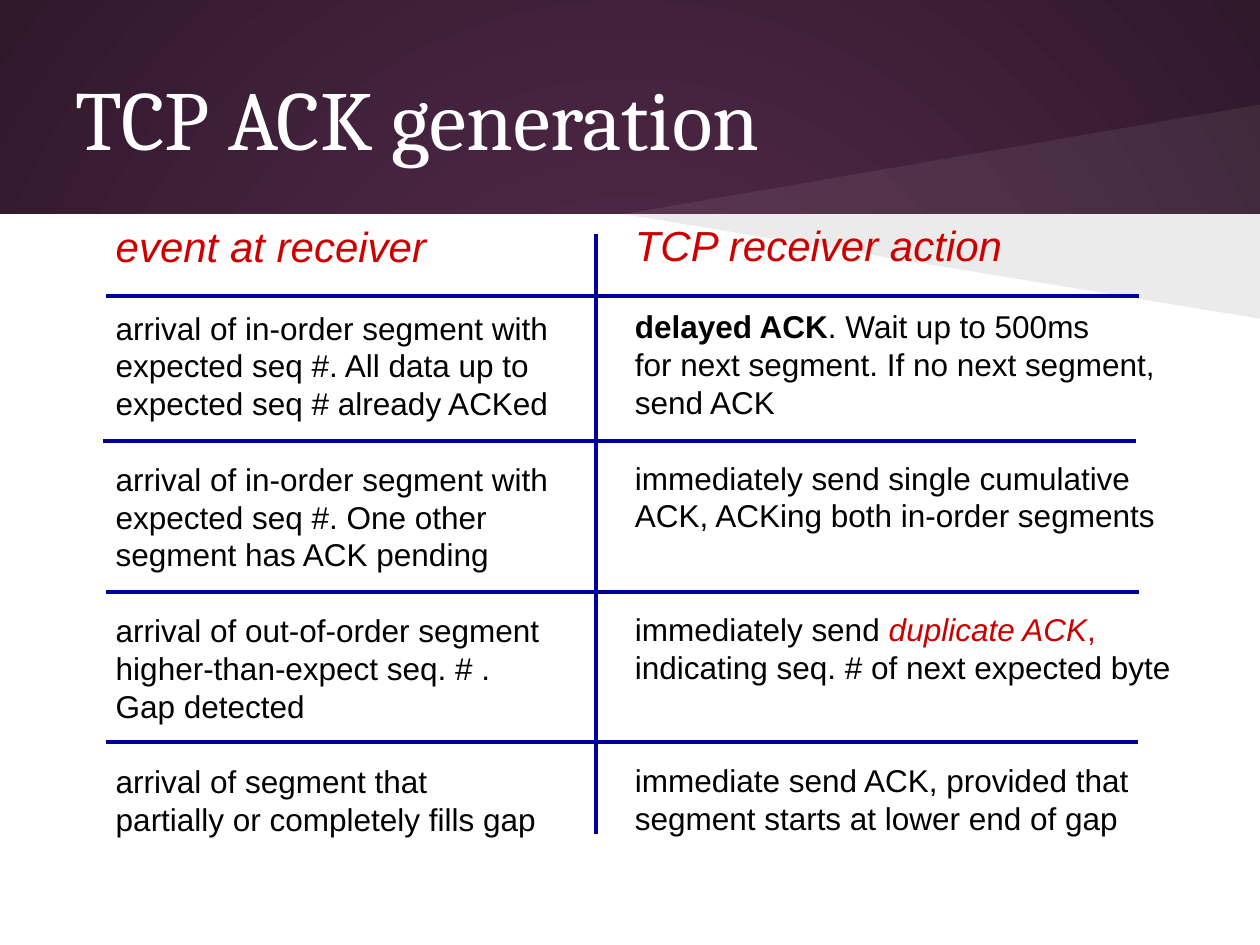
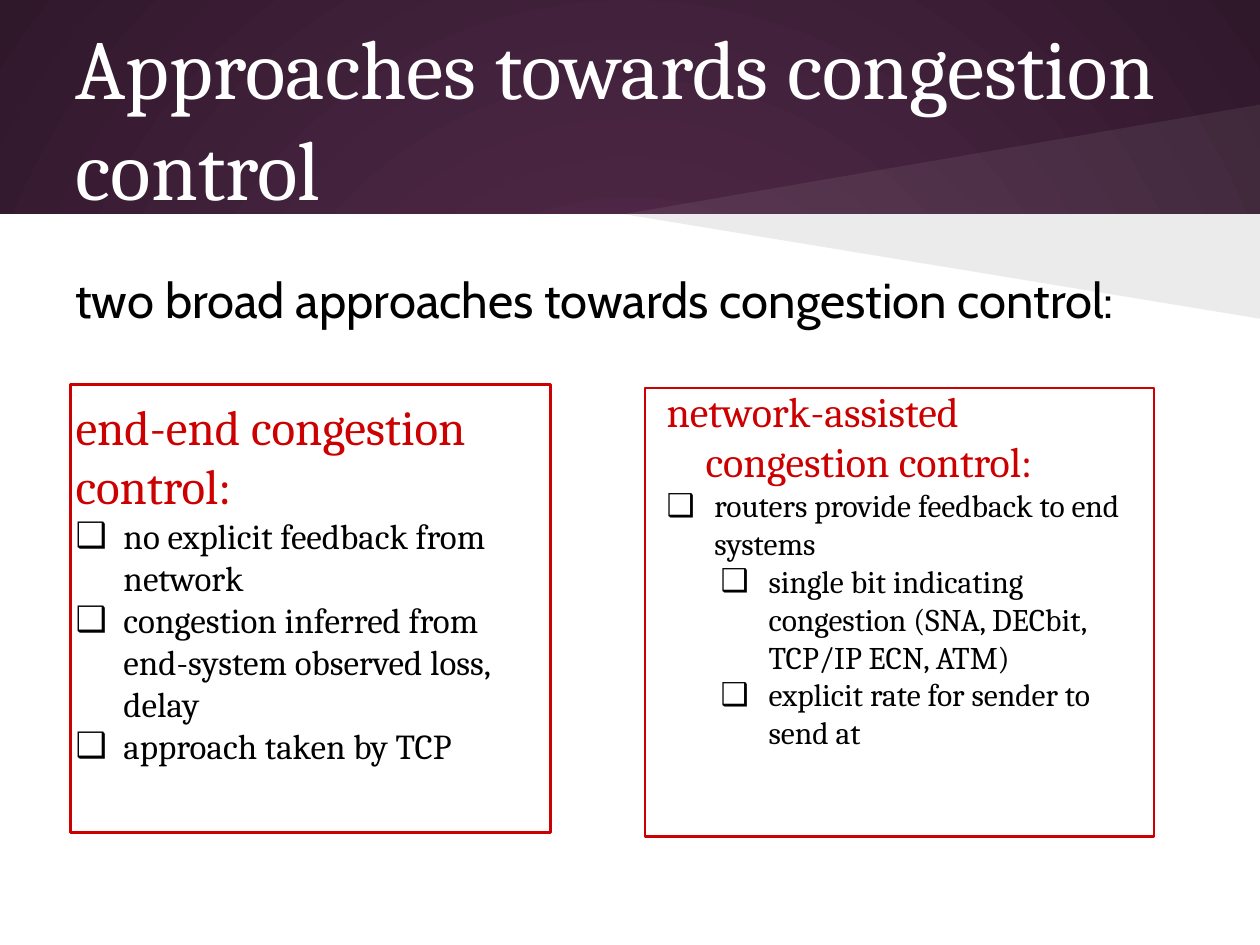
import pptx
import pptx.dml.color
import pptx.enum.dml
import pptx.enum.shapes
import pptx.enum.text
import pptx.oxml.ns
import pptx.oxml.xmlchemy
import pptx.util
from lxml import etree

EMU_PER_PX = 9144  # 100 px to the inch
SLIDE_WIDTH, SLIDE_HEIGHT = 1000, 750
BAND_BOTTOM = 170
LINE_HEIGHT = 1.2  # times the text size

WHITE, BLACK = "FFFFFF", "000000"
RED, BLUE = "CC0000", "000099"
PLUM, DARK_PLUM = "592D50", "30182B"
SERIF, SANS, LEAD_FONT = "Cambria", "Arial", "Cabin"

HEADING = {"name": SANS, "size": 24, "color": RED, "italic": True}
CELL = {"name": SANS, "size": 18, "color": BLACK}
BOLD = {**CELL, "bold": True}
RED_CELL = {**CELL, "color": RED}
RED_ITALIC = {**RED_CELL, "italic": True}

# Each row is (blank lines above, lines); each line is a list of (text, format)
EVENT_ROWS = [
    (0, [[("event at receiver", HEADING)]]),
    (1, [[("arrival of in-order segment with", CELL)],
         [("expected seq #. All data up to", CELL)],
         [("expected seq # already ACKed", CELL)]]),
    (1, [[("arrival of in-order segment with", CELL)],
         [("expected seq #. One other", CELL)],
         [("segment has ACK pending", CELL)]]),
    (1, [[("arrival of out-of-order segment", CELL)],
         [("higher-than-expect seq. # .", CELL)],
         [("Gap detected", CELL)]]),
    (1, [[("arrival of segment that", CELL)],
         [("partially or completely fills gap", CELL)]]),
]
ACTION_ROWS = [
    (0, [[("TCP receiver action", HEADING)]]),
    (1, [[("delayed ACK", BOLD), (". Wait up to 500ms", CELL)],
         [("for next segment. If no next segment,", CELL)],
         [("send ACK", CELL)]]),
    (1, [[("immediately send single cumulative", CELL)],
         [("ACK, ACKing both in-order segments", CELL)]]),
    (2, [[("immediately send ", CELL), ("duplicate ACK", RED_ITALIC), (",", RED_CELL)],
         [("indicating seq. # of next expected byte", CELL)]]),
    (2, [[("immediate send ACK, provided that", CELL)],
         [("segment starts at lower end of gap", CELL)]]),
]
RULES = [(473, 186, 473, 662), (84, 235, 904, 235), (82, 350, 902, 350),
         (84, 470, 904, 470), (84, 589, 903, 589)]

# Each list item is (text, size, colour, level, left indent, hanging, bulleted)
END_TO_END = [
    ("end-end congestion control:", 28, RED, 0, 0, 0, False),
    ("no explicit feedback from network", 20, BLACK, 1, 38, 38, True),
    ("congestion inferred from end-system observed loss, delay", 20, BLACK, 1, 38, 38, True),
    ("approach taken by TCP", 20, BLACK, 1, 38, 38, True),
]
NETWORK_ASSISTED = [
    ("network-assisted congestion control:", 24, RED, 0, 31, 31, False),
    ("routers provide feedback to end systems", 18, BLACK, 0, 38, 38, True),
    ("single bit indicating congestion (SNA, DECbit, TCP/IP ECN, ATM)",
     18, BLACK, 1, 81, 38, True),
    ("explicit rate for sender to send at", 18, BLACK, 1, 81, 38, True),
]


def px(length):
    return pptx.util.Emu(length * EMU_PER_PX)


def rgb(hex_colour):
    return pptx.dml.color.RGBColor.from_string(hex_colour)


def add_child(parent, tag, **attributes):
    return etree.SubElement(parent, pptx.oxml.ns.qn(tag), attributes)


def set_attributes(target, values):
    for name, value in values.items():
        setattr(target, name, value)


def place(shape, left, top, width, height):
    set_attributes(shape, {"left": px(left), "top": px(top),
                           "width": px(width), "height": px(height)})


def format_frame(frame, margin_x, margin_y, wrap=True,
                 anchor=pptx.enum.text.MSO_ANCHOR.TOP):
    set_attributes(frame, {
        "margin_left": px(margin_x), "margin_right": px(margin_x),
        "margin_top": px(margin_y), "margin_bottom": px(margin_y),
        "word_wrap": wrap, "vertical_anchor": anchor,
        "auto_size": pptx.enum.text.MSO_AUTO_SIZE.NONE})


def add_run(paragraph, text, text_format):
    run = paragraph.add_run()
    run.text = text
    values = dict(text_format)
    run.font.color.rgb = rgb(values.pop("color"))
    values["size"] = pptx.util.Pt(values["size"])
    set_attributes(run.font, values)


def format_paragraph(paragraph, size, space_before=0):
    set_attributes(paragraph, {
        "alignment": pptx.enum.text.PP_ALIGN.LEFT,
        "line_spacing": pptx.util.Pt(size * LINE_HEIGHT),
        "space_before": pptx.util.Pt(space_before)})


def next_paragraph(frame, is_first):
    return frame.paragraphs[0] if is_first else frame.add_paragraph()


def set_indent(paragraph, left, hanging, bulleted):
    properties = paragraph._p.get_or_add_pPr()
    properties.set("marL", str(px(left)))
    properties.set("indent", str(px(-hanging)))
    if bulleted:
        add_child(add_child(properties, "a:buClr"), "a:srgbClr", val=BLACK)
        add_child(properties, "a:buChar", char="❑")
    else:
        add_child(properties, "a:buNone")


def add_rectangle(slide, left, top, width, height, fill=None, line=None):
    shape = slide.shapes.add_shape(pptx.enum.shapes.MSO_SHAPE.RECTANGLE,
                                   px(left), px(top), px(width), px(height))
    shape.shadow.inherit = False
    if fill:
        shape.fill.solid()
        shape.fill.fore_color.rgb = rgb(fill)
    else:
        shape.fill.background()
    if line:
        shape.line.color.rgb = rgb(line)
        shape.line.width = pptx.util.Pt(1.5)
    else:
        shape.line.fill.background()
    return shape


def add_beam(slide, points, colour, opacity):
    builder = slide.shapes.build_freeform(*points[0], scale=EMU_PER_PX)
    builder.add_line_segments(points[1:])
    beam = builder.convert_to_shape()
    beam.shadow.inherit = False
    beam.line.fill.background()
    beam.fill.solid()
    beam.fill.fore_color.rgb = rgb(colour)
    solid_colour = beam.element.spPr.find(".//" + pptx.oxml.ns.qn("a:srgbClr"))
    add_child(solid_colour, "a:alpha", val=str(opacity * 1000))
    return beam


def add_rule(slide, x1, y1, x2, y2):
    rule = slide.shapes.add_connector(pptx.enum.shapes.MSO_CONNECTOR.STRAIGHT,
                                      px(x1), px(y1), px(x2), px(y2))
    rule.line.color.rgb = rgb(BLUE)
    rule.line.width = pptx.util.Pt(2.25)
    add_child(rule.element.spPr, "a:effectLst")


def style_master(master, slide):
    """Give the master its gradient, white page and beams, drawn first on a slide."""
    fill = master.background.fill
    fill.gradient()
    for stop, position, colour in zip(fill.gradient_stops, (0, 1), (PLUM, DARK_PLUM)):
        stop.position = position
        stop.color.rgb = rgb(colour)
    gradient = master.element.find(".//" + pptx.oxml.ns.qn("a:gradFill"))
    for linear in gradient.findall(pptx.oxml.ns.qn("a:lin")):
        gradient.remove(linear)
    circle = add_child(gradient, "a:path", path="circle")
    add_child(circle, "a:fillToRect", l="50000", t="50000", r="50000", b="50000")

    tip, corner = (495, BAND_BOTTOM), (SLIDE_WIDTH, BAND_BOTTOM)
    backdrop = [
        add_rectangle(slide, 0, BAND_BOTTOM, SLIDE_WIDTH, SLIDE_HEIGHT - BAND_BOTTOM, WHITE),
        add_beam(slide, [corner, tip, (SLIDE_WIDTH, 83)], WHITE, 7),
        add_beam(slide, [corner, tip, (SLIDE_WIDTH, 253)], BLACK, 8),
    ]
    for position, shape in enumerate(backdrop, start=2):
        master.shapes.element.insert(position, shape.element)


def set_title(slide, text):
    title = slide.shapes.title
    place(title, 50, 30, 900, 125)
    format_frame(title.text_frame, 10, 10, anchor=pptx.enum.text.MSO_ANCHOR.MIDDLE)
    paragraph = title.text_frame.paragraphs[0]
    format_paragraph(paragraph, 48)
    add_run(paragraph, text, {"name": SERIF, "size": 48, "color": WHITE})


def add_column(slide, left, top, width, rows):
    box = slide.shapes.add_textbox(px(left), px(top), px(width), px(547))
    format_frame(box.text_frame, 10, 5, wrap=False)
    for row_index, (blank_lines, lines) in enumerate(rows):
        for line_index, runs in enumerate(lines):
            paragraph = next_paragraph(box.text_frame, row_index + line_index == 0)
            gap = blank_lines * CELL["size"] * LINE_HEIGHT if line_index == 0 else 0
            format_paragraph(paragraph, runs[0][1]["size"], gap)
            for text, text_format in runs:
                add_run(paragraph, text, text_format)


def fill_list(body, position, items):
    place(body, *position)
    format_frame(body.text_frame, 10, 10)
    for index, (text, size, colour, level, left, hanging, bulleted) in enumerate(items):
        paragraph = next_paragraph(body.text_frame, index == 0)
        paragraph.level = level
        set_indent(paragraph, left, hanging, bulleted)
        format_paragraph(paragraph, size)
        add_run(paragraph, text, {"name": SERIF, "size": size, "color": colour})


def add_lead(slide, text):
    box = slide.shapes.add_textbox(px(50), px(216), px(892), px(60))
    format_frame(box.text_frame, 10, 5)
    paragraph = box.text_frame.paragraphs[0]
    set_indent(paragraph, 38, 38, False)
    paragraph.line_spacing = 0.85
    add_run(paragraph, text, {"name": LEAD_FONT, "size": 28, "color": BLACK})


def main():
    presentation = pptx.Presentation()
    presentation.slide_width = px(SLIDE_WIDTH)
    presentation.slide_height = px(SLIDE_HEIGHT)
    layouts = presentation.slide_layouts

    # TCP ACK generation
    slide = presentation.slides.add_slide(layouts.get_by_name("Title Only"))
    style_master(presentation.slide_master, slide)
    set_title(slide, "TCP ACK generation")
    add_column(slide, 82, 170, 365, EVENT_ROWS)
    add_column(slide, 494, 169, 445, ACTION_ROWS)
    for rule in RULES:
        add_rule(slide, *rule)

    # Approaches towards congestion control
    slide = presentation.slides.add_slide(layouts.get_by_name("Two Content"))
    set_title(slide, "Approaches towards congestion control")
    fill_list(slide.placeholders[1], (50, 305, 387, 346), END_TO_END)
    fill_list(slide.placeholders[2], (519, 296, 388, 364), NETWORK_ASSISTED)
    add_lead(slide, "two broad approaches towards congestion control:")
    add_rectangle(slide, 56, 305, 381, 356, line=RED)
    add_rectangle(slide, 512, 308, 404, 356, line=RED)

    presentation.save("out.pptx")


if __name__ == "__main__":
    main()
